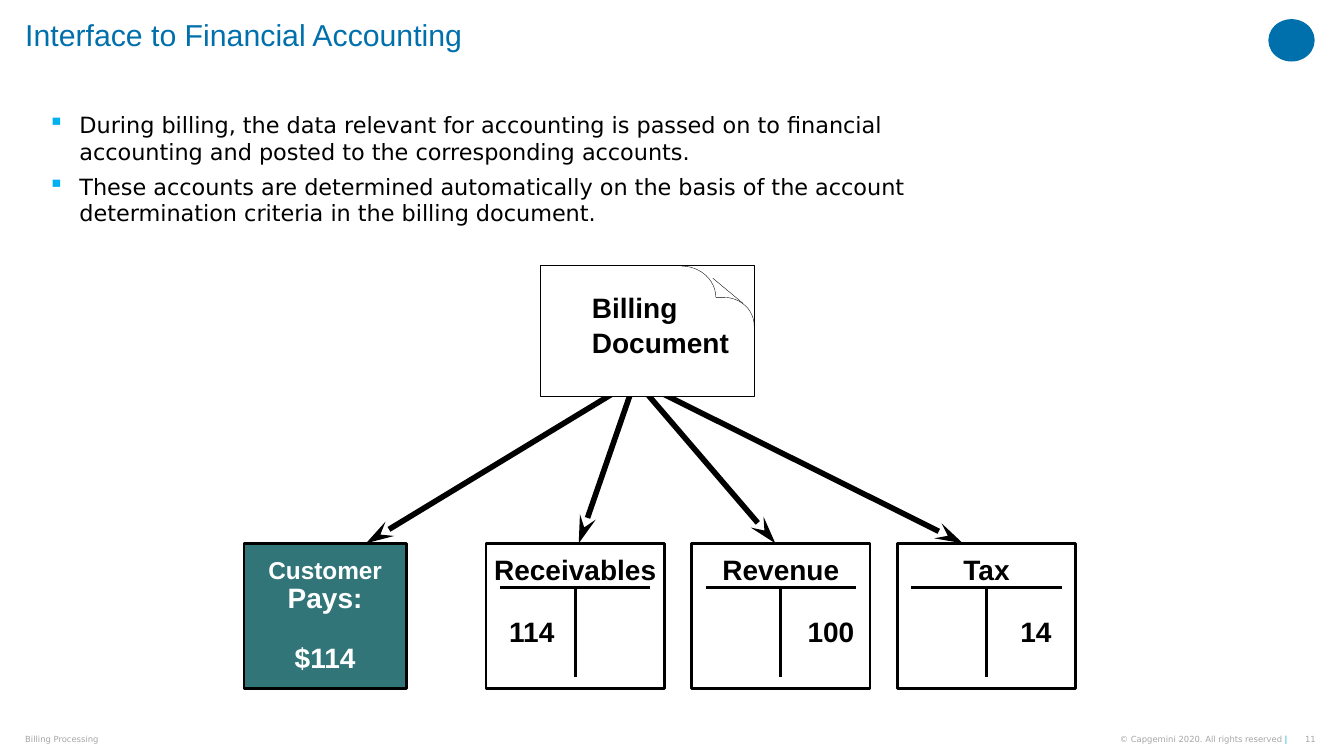
from math import cos, pi, sin

from lxml import etree
from pptx import Presentation
from pptx.dml.color import RGBColor
from pptx.enum.shapes import MSO_CONNECTOR, MSO_SHAPE
from pptx.enum.text import MSO_ANCHOR, PP_ALIGN
from pptx.oxml.ns import qn
from pptx.util import Inches, Pt

BLUE = RGBColor(0x00, 0x70, 0xAD)
LIGHT_BLUE = RGBColor(0x12, 0xAB, 0xDB)
TEAL = RGBColor(0x31, 0x75, 0x79)
GRAY = RGBColor(0xA6, 0xA6, 0xA6)
BLACK = RGBColor(0, 0, 0)
WHITE = RGBColor(0xFF, 0xFF, 0xFF)
HEADING_FONT, BODY_FONT = "Arial", "DejaVu Sans"

TITLE = "Interface to Financial Accounting"
BULLETS = [
    "During billing, the data relevant for accounting is passed on to financial "
    "accounting and posted to the corresponding accounts.",
    "These accounts are determined automatically on the basis of the account "
    "determination criteria in the billing document.",
]
DOCUMENT_LINES = ["Billing", "Document"]
CUSTOMER_LINES = [("Customer", 17.4, 0), ("Pays:", 20, 0), ("$114", 20, 21.4)]
ACCOUNTS = [("Receivables", "114", 0.23), ("Revenue", "100", 1.15), ("Tax", "14", 1.22)]
FOOTERS = [
    (["Billing Processing"], 0.25, 5.16, PP_ALIGN.LEFT),
    (["© Capgemini 2020. All rights reserved ", "|"], 9.86, 2.91, PP_ALIGN.RIGHT),
    (["11"], 12.75, 0.3, PP_ALIGN.RIGHT),
]

BOX_TOP, BOX_HEIGHT = 5.39, 1.44
ACCOUNT_LEFT, ACCOUNT_PITCH, ACCOUNT_WIDTH = 4.82, 2.04, 1.77
BAR_INSET, BAR_TOP, STEM_BOTTOM = 0.14, 5.83, 6.72
ARROW_START = (6.3, 3.77)
ARROW_TIPS = [3.63, 5.74, 7.69, 9.55]
DOCUMENT = (5.36, 2.63, 2.12, 1.3)
FOLD_ARCS = [(6.76, 2.95, 0.34, 0.31), (7.18, 3.23, 0.3, 0.28)]
ARC_STEPS = 12


def set_font(paragraph, name, size, color, bold=False):
    """Format every run of a paragraph."""
    for run in paragraph.runs:
        run.font.name, run.font.size, run.font.bold = name, Pt(size), bold
        run.font.color.rgb = color


def set_frame(frame, left=0, top=0, right=0, anchor=MSO_ANCHOR.TOP):
    """Set the wrapping, insets and anchor of a text frame."""
    frame.word_wrap = True
    frame.vertical_anchor = anchor
    frame.margin_left, frame.margin_top = Inches(left), Inches(top)
    frame.margin_right, frame.margin_bottom = Inches(right), 0


def add_box(slide, left, top, width, height, fill=None, line_width=2.0):
    """Add a rectangle with a black outline."""
    shape = slide.shapes.add_shape(
        MSO_SHAPE.RECTANGLE, Inches(left), Inches(top), Inches(width), Inches(height))
    shape.shadow.inherit = False
    if fill is None:
        shape.fill.background()
    else:
        shape.fill.solid()
        shape.fill.fore_color.rgb = fill
    shape.line.color.rgb, shape.line.width = BLACK, Pt(line_width)
    return shape


def add_line(slide, start, end, width, arrow=False):
    """Add a straight black line, with an arrowhead if asked."""
    line = slide.shapes.add_connector(
        MSO_CONNECTOR.STRAIGHT, *(Inches(value) for value in (*start, *end)))
    line.line.color.rgb, line.line.width = BLACK, Pt(width)
    if arrow:
        etree.SubElement(line.line._get_or_add_ln(), qn("a:tailEnd"),
                         type="stealth", w="med", len="lg")
    etree.SubElement(line._element.spPr, qn("a:effectLst"))


def add_title(slide):
    """Fill and place the title."""
    title = slide.shapes.title
    title.left, title.top, title.width, title.height = (
        Inches(0.25), 0, Inches(12.17), Inches(0.79))
    title.text_frame.text = TITLE
    set_frame(title.text_frame, top=0.2)
    paragraph = title.text_frame.paragraphs[0]
    paragraph.alignment, paragraph.line_spacing = PP_ALIGN.LEFT, 0.9
    set_font(paragraph, HEADING_FONT, 21.6, BLUE)


def add_bullets(slide):
    """Add the bulleted explanation."""
    box = slide.shapes.add_textbox(Inches(0.25), Inches(1.05), Inches(10.57), Inches(1.53))
    frame = box.text_frame
    frame.text = "\n".join(BULLETS)
    set_frame(frame, left=0.1, top=0.05, right=1.5)
    for index, paragraph in enumerate(frame.paragraphs):
        properties = paragraph._p.get_or_add_pPr()
        properties.set("marL", str(Inches(0.44)))
        properties.set("indent", str(-Inches(0.31)))
        color = etree.SubElement(properties, qn("a:buClr"))
        etree.SubElement(color, qn("a:srgbClr"), val="00B0F0")
        etree.SubElement(properties, qn("a:buChar"), char="▪")
        paragraph.space_before = Pt(5.8 if index else 0)
        set_font(paragraph, BODY_FONT, 16, BLACK)


def add_document(slide):
    """Add the billing document with its folded corner."""
    box = add_box(slide, *DOCUMENT, fill=WHITE, line_width=0.25)
    frame = box.text_frame
    frame.text = "\n".join(DOCUMENT_LINES)
    set_frame(frame, left=0.51, top=0.27)
    for index, paragraph in enumerate(frame.paragraphs):
        paragraph.alignment, paragraph.line_spacing = PP_ALIGN.LEFT, 0.96
        paragraph.space_before = Pt(2 if index else 0)
        set_font(paragraph, HEADING_FONT, 20, BLACK, True)
    angles = [pi / 2 * step / ARC_STEPS for step in range(ARC_STEPS + 1)]
    points = [(Inches(x + width * sin(angle)), Inches(y - height * cos(angle)))
              for x, y, width, height in FOLD_ARCS for angle in angles]
    builder = slide.shapes.build_freeform(*points[0])
    builder.add_line_segments(points[1:], close=False)
    fold = builder.convert_to_shape()
    fold.shadow.inherit = False
    fold.fill.background()
    fold.line.color.rgb, fold.line.width = BLACK, Pt(0.25)
    add_line(slide, (7.07, 2.76), (7.37, 3.01), 0.25)


def add_customer(slide):
    """Add the customer payment box."""
    frame = add_box(slide, 2.42, BOX_TOP, 1.61, BOX_HEIGHT, TEAL).text_frame
    frame.text = "\n".join(text for text, _, _ in CUSTOMER_LINES)
    set_frame(frame, top=0.11)
    for paragraph, (_, size, before) in zip(frame.paragraphs, CUSTOMER_LINES):
        paragraph.alignment, paragraph.line_spacing = PP_ALIGN.CENTER, Pt(21.4)
        paragraph.space_before = Pt(before)
        set_font(paragraph, HEADING_FONT, size, WHITE, True)


def add_account(slide, index, name, amount, indent):
    """Add one T-account."""
    left = ACCOUNT_LEFT + index * ACCOUNT_PITCH
    middle = left + ACCOUNT_WIDTH / 2
    frame = add_box(slide, left, BOX_TOP, ACCOUNT_WIDTH, BOX_HEIGHT).text_frame
    frame.text = f"{name}\n{amount}"
    set_frame(frame, top=0.11)
    heading, entry = frame.paragraphs
    heading.alignment, entry.alignment = PP_ALIGN.CENTER, PP_ALIGN.LEFT
    entry.space_before = Pt(21.4)
    entry._p.get_or_add_pPr().set("marL", str(Inches(indent)))
    for paragraph in (heading, entry):
        paragraph.line_spacing = 0.96
        set_font(paragraph, HEADING_FONT, 20, BLACK, True)
    add_line(slide, (left + BAR_INSET, BAR_TOP),
             (left + ACCOUNT_WIDTH - BAR_INSET, BAR_TOP), 2)
    add_line(slide, (middle, BAR_TOP), (middle, STEM_BOTTOM), 2)


def add_footer(slide, texts, left, width, alignment):
    """Add one footer text."""
    box = slide.shapes.add_textbox(Inches(left), Inches(7.27), Inches(width), Inches(0.13))
    set_frame(box.text_frame, anchor=MSO_ANCHOR.MIDDLE)
    paragraph = box.text_frame.paragraphs[0]
    paragraph.alignment = alignment
    for text in texts:
        paragraph.add_run().text = text
    set_font(paragraph, BODY_FONT, 6, GRAY)
    for run in paragraph.runs[1:]:
        run.font.color.rgb = LIGHT_BLUE


def main():
    """Build and save the slide."""
    presentation = Presentation()
    presentation.slide_width, presentation.slide_height = Inches(13.33), Inches(7.5)
    slide = presentation.slides.add_slide(presentation.slide_layouts[5])
    add_title(slide)
    emblem = slide.shapes.add_shape(
        MSO_SHAPE.OVAL, Inches(12.58), Inches(0.19), Inches(0.46), Inches(0.42))
    emblem.shadow.inherit = False
    emblem.fill.solid()
    emblem.fill.fore_color.rgb = BLUE
    emblem.line.fill.background()
    add_bullets(slide)
    for tip in ARROW_TIPS:
        add_line(slide, ARROW_START, (tip, BOX_TOP), 4, arrow=True)
    add_document(slide)
    add_customer(slide)
    for index, account in enumerate(ACCOUNTS):
        add_account(slide, index, *account)
    for footer in FOOTERS:
        add_footer(slide, *footer)
    presentation.save("out.pptx")


if __name__ == "__main__":
    main()
